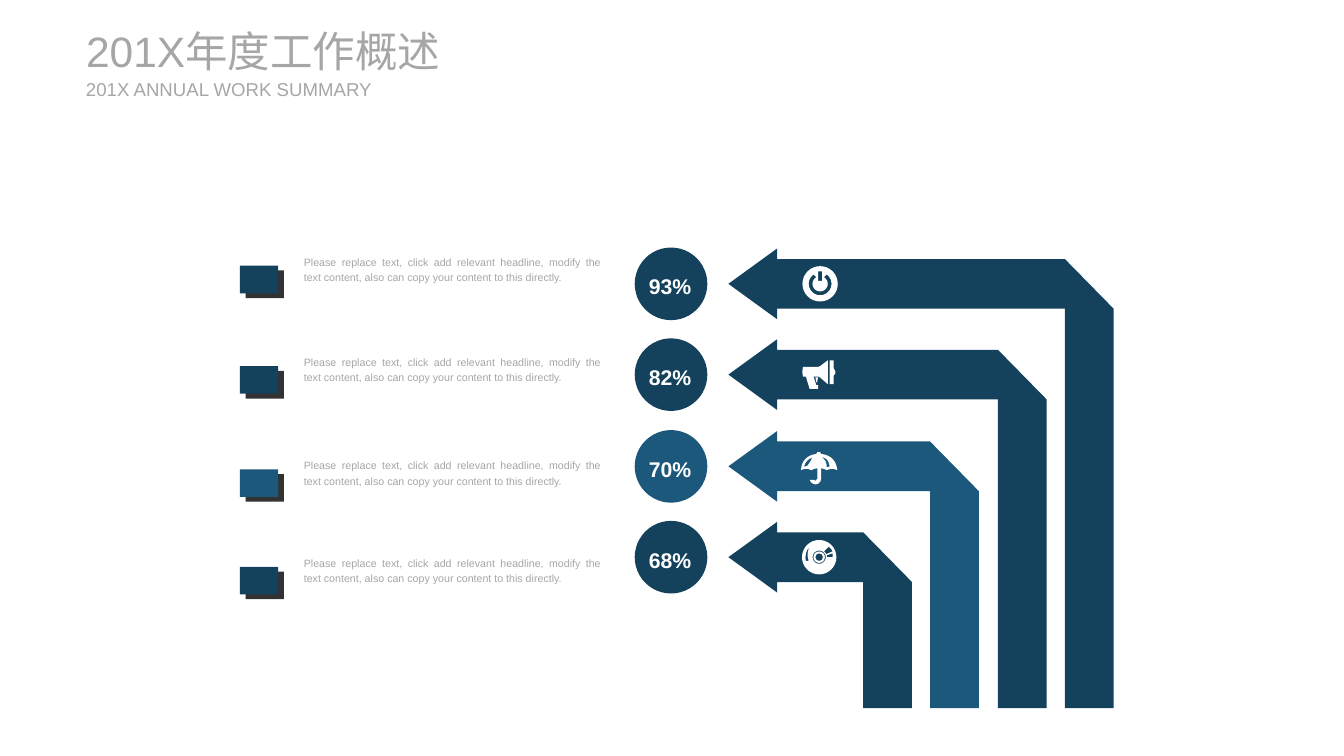
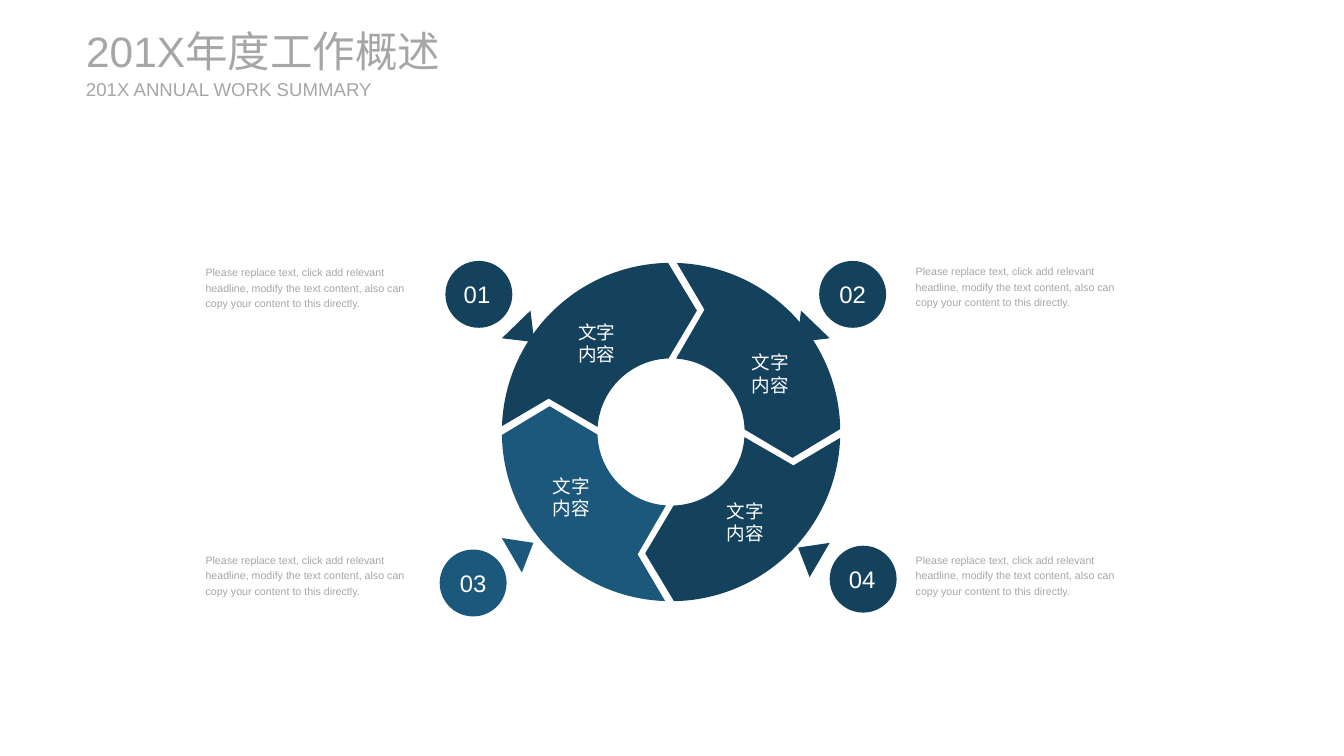
"""Build two annual summary slides: bent arrows and a ring of four steps."""
from dataclasses import dataclass
from math import ceil, cos, radians, sin, tan

from lxml.etree import SubElement
from pptx import Presentation
from pptx.dml.color import RGBColor
from pptx.enum.shapes import MSO_SHAPE
from pptx.enum.text import MSO_ANCHOR, MSO_AUTO_SIZE, PP_ALIGN
from pptx.oxml.ns import qn
from pptx.presentation import Presentation as Deck
from pptx.shapes.autoshape import Shape
from pptx.slide import Slide
from pptx.util import Emu, Pt

Node = tuple[float, ...]
Box = tuple[int, int, int, int]
Outline = list[Node]

SCALE = 9144
FONT = "Arial"
NAVY, BLUE, DARK, GREY, WHITE = "14425D", "1B587C", "323232", "A6A6A6", "FFFFFF"
NOTE = ("Please replace text, click add relevant headline, modify the text content, "
        "also can copy your content to this directly.")
CENTER = (702, 452)


@dataclass(frozen=True)
class Style:
    """Look of one text frame."""
    size: int
    color: str = WHITE
    bold: bool = False
    align: PP_ALIGN = PP_ALIGN.LEFT
    anchor: MSO_ANCHOR = MSO_ANCHOR.MIDDLE
    line: float | None = None
    inset: tuple[int, int] = (0, 0)
    wrap: bool = True
    grow: bool = False


@dataclass(frozen=True)
class Row:
    """One bent arrow with its share and note."""
    share: str
    color: str
    top: int
    icon: list[Outline]


@dataclass(frozen=True)
class Step:
    """One quarter of the ring with its number and note."""
    label: str
    color: str
    disc: tuple[int, int]
    number: tuple[int, int]
    tip: Outline
    note: Box
    word: Box


HEAD = Style(32, GREY, grow=True)
SUB = Style(14, GREY, grow=True)
SHARE = Style(16, bold=True, align=PP_ALIGN.JUSTIFY, anchor=MSO_ANCHOR.TOP,
              line=1.2, inset=(10, 5), wrap=False, grow=True)
BODY = Style(8, GREY, align=PP_ALIGN.JUSTIFY, anchor=MSO_ANCHOR.TOP,
             line=1.2, inset=(10, 5), grow=True)
SIDE = Style(8, GREY, anchor=MSO_ANCHOR.TOP, line=1.2, grow=True)
LABEL = Style(18, align=PP_ALIGN.CENTER, inset=(0, 10))
WORD = Style(14, align=PP_ALIGN.CENTER)


def px(value: float) -> Emu:
    """Turn px into EMU."""
    return Emu(round(value * SCALE))


def rgb(code: str) -> RGBColor:
    """Turn a hex string into a colour."""
    return RGBColor.from_string(code)


def paint(shape: Shape, color: str) -> None:
    """Give a shape a plain fill without line or shadow."""
    shape.shadow.inherit = False
    shape.fill.solid()
    shape.fill.fore_color.rgb = rgb(color)
    shape.line.fill.background()


def write(shape: Shape, text: str, style: Style) -> None:
    """Put one styled run into a shape."""
    frame = shape.text_frame
    frame.word_wrap = style.wrap
    frame.auto_size = MSO_AUTO_SIZE.SHAPE_TO_FIT_TEXT if style.grow else MSO_AUTO_SIZE.NONE
    frame.vertical_anchor = style.anchor
    frame.margin_left = frame.margin_right = px(style.inset[0])
    frame.margin_top = frame.margin_bottom = px(style.inset[1])
    para = frame.paragraphs[0]
    para.alignment = style.align
    if style.line:
        para.line_spacing = style.line
    run = para.add_run()
    run.text = text
    font = run.font
    font.name, font.size, font.bold = FONT, Pt(style.size), style.bold
    font.color.rgb = rgb(style.color)


def label(slide: Slide, box: Box, text: str, style: Style) -> None:
    """Add a text box."""
    write(slide.shapes.add_textbox(*map(px, box)), text, style)


def block(slide: Slide, kind: MSO_SHAPE, box: Box, color: str) -> None:
    """Add a plain preset shape."""
    paint(slide.shapes.add_shape(kind, *map(px, box)), color)


def pairs(node: Node) -> list[Node]:
    """Split a node into its points: one for a line, three for a curve."""
    return list(zip(node[::2], node[1::2]))


def shift(nodes: Outline, left: float, top: float) -> Outline:
    """Move nodes by an offset."""
    return [tuple(v for x, y in pairs(n) for v in (x + left, y + top)) for n in nodes]


def spin(nodes: Outline, times: int) -> Outline:
    """Turn nodes clockwise by quarter turns around the origin."""
    for _ in range(times):
        nodes = [tuple(v for x, y in pairs(n) for v in (-y, x)) for n in nodes]
    return nodes


def arc(radius: float, start: float, end: float) -> Outline:
    """Give an arc around the origin as a point and curves, angles in degrees."""
    count = ceil(abs(end - start) / 90)
    step = radians(end - start) / count
    pull = 4 / 3 * tan(step / 4)
    turn = radians(start)
    nodes: Outline = [(radius * cos(turn), radius * sin(turn))]
    for _ in range(count):
        c, s = cos(turn), sin(turn)
        turn += step
        d, t = cos(turn), sin(turn)
        curve = (c - pull * s, s + pull * c, d + pull * t, t - pull * d, d, t)
        nodes.append(tuple(radius * v for v in curve))
    return nodes


def bow(shape: Shape, sizes: list[int]) -> None:
    """Join each run of three line steps that stands for a curve."""
    steps = iter(list(shape.element.iter(qn("a:lnTo"))))
    for size in sizes:
        group = [next(steps) for _ in range(size)]
        if size == 3:
            home = group[0].getparent()
            curve = SubElement(home, qn("a:cubicBezTo"))
            home.replace(group[0], curve)
            for old in group:
                curve.append(old[0])
            for old in group[1:]:
                home.remove(old)


def draw(slide: Slide, parts: list[Outline], color: str) -> None:
    """Add one freeform made of closed outlines."""
    pen = None
    for first, *rest in parts:
        spot = tuple(map(px, first))
        if pen is None:
            pen = slide.shapes.build_freeform(*spot, scale=1.0)
        else:
            pen.move_to(*spot)
        pen.add_line_segments([(px(x), px(y)) for n in rest for x, y in pairs(n)], close=True)
    shape = pen.convert_to_shape()
    bow(shape, [len(n) // 2 for part in parts for n in part[1:]])
    paint(shape, color)


POWER = [
    arc(18.5, 0, 360),
    [(-2, -13), (-2, -3), (2, -3), (2, -13)],
    arc(12, -55, 235) + arc(8, 240, -60),
]
HORN = [
    [(-18, -8), (-2, -8), (0, -9), (8, -15), (8, 10), (0, 3), (-2, 2), (-7, 2),
     (-4, 11), (-2, 11), (-2, 15), (-11, 15), (-15, 2), (-18, 2), (-19, -1, -19, -5, -18, -8)],
    [(14, -7), (15, -6, 16, -5, 16, -3), (16, -1, 15, 1, 14, 1), (14, 10), (10, 10),
     (10, -15), (14, -15)],
    [(-2, 3), (-5, 3), (-4, 8), (-3, 8), (-3, 6)],
]
SHADE = [
    [(-7, 14), (-5, 15), (-4, 15, -3, 14, -3, 13), (-3, 2), (-6, 2, -8, 3, -9, 4),
     (-13, 2, -17, 2, -20, 4), (-20, -5, -14, -12, -4, -13), (-3, -15), (0, -15), (1, -13),
     (12, -12, 17, -5, 18, 4), (14, 2, 11, 2, 7, 4), (5, 3, 3, 2, 1, 2), (1, 13),
     (1, 15, 0, 17, -2, 18), (-5, 20, -10, 18, -11, 14)],
    [(7, 1), (8, 1, 9, 0, 10, 0), (9, -7, 6, -9, 1, -10), (5, -8, 7, -4, 7, 1)],
    [(-17, 0), (-15, 0, -14, 0, -13, -1), (-11, -4, -9, -7, -8, -9), (-13, -8, -15, -5, -17, 0)],
]
RECORD = [
    *(shift(arc(r, 0, 360), -1, 0) for r in (18, 7, 6, 4)),
    [(-11, -11), (-15, -7, -16, -1, -15, 4), (-12, 4), (-14, -2, -13, -7, -11, -11)],
    [(4, -6), (6, -4), (6, -3), (13, -6), (12, -8), (9, -11)],
    [(13, -4), (7, -2), (7, 0), (13, 0)],
]
ROWS = [
    Row("93%", NAVY, 278, POWER),
    Row("82%", NAVY, 383, HORN),
    Row("70%", BLUE, 491, SHADE),
    Row("68%", NAVY, 593, RECORD),
]
STEPS = [
    Step("01", NAVY, (466, 273), (465, 281), [(555, 325), (525, 354), (559, 358)],
         (215, 276, 225, 47), (597, 322, 55, 74)),
    Step("02", NAVY, (857, 273), (858, 281), [(838, 325), (868, 354), (834, 358)],
         (958, 275, 230, 47), (778, 354, 56, 74)),
    Step("04", NAVY, (868, 571), (868, 579), [(847, 604), (868, 568), (835, 573)],
         (958, 577, 230, 47), (752, 509, 56, 74)),
    Step("03", BLUE, (460, 575), (461, 583), [(525, 563), (546, 599), (558, 568)],
         (215, 577, 225, 47), (570, 483, 55, 74)),
]
QUARTER = [(27, -127), *arc(177, 269, 182), (-128, -35), *arc(77, 184, 268)]


def start(deck: Deck) -> Slide:
    """Add a slide with the shared title and subtitle."""
    slide = deck.slides.add_slide(deck.slide_layouts[5])
    title = slide.shapes.title
    title.left, title.top, title.width, title.height = map(px, (90, 26, 432, 54))
    write(title, "201X年度工作概述", HEAD)
    label(slide, (90, 81, 307, 24), "201X ANNUAL WORK SUMMARY", SUB)
    return slide


def bend(mid: int, right: int) -> Outline:
    """Outline a bent arrow by its middle line and right edge."""
    tip, neck, foot, width = 762, 813, 741, 51
    high, low = mid - 26, mid + 26
    return [(neck, mid - 37), (neck, high), (right - width, high), (right, low),
            (right, foot), (right - width, foot), (right - width, low),
            (neck, low), (neck, mid + 37), (tip, mid)]


def arrows(deck: Deck) -> None:
    """Build the slide with four bent arrows."""
    slide = start(deck)
    for i, row in enumerate(ROWS):
        mid = 297 + round(i * 95.33)
        block(slide, MSO_SHAPE.OVAL, (664, mid - 38, 76, 76), row.color)
        label(slide, (669, mid - 21, 65, 42), row.share, SHARE)
        draw(slide, [bend(mid, 1165 - round(70.33 * i))], row.color)
        draw(slide, [shift(part, 858, mid) for part in row.icon], WHITE)
        block(slide, MSO_SHAPE.RECTANGLE, (257, row.top + 5, 40, 29), DARK)
        block(slide, MSO_SHAPE.RECTANGLE, (251, row.top, 40, 29), row.color)
        label(slide, (308, row.top - 18, 331, 41), NOTE, BODY)


def cycle(deck: Deck) -> None:
    """Build the slide with the ring of four steps."""
    slide = start(deck)
    for i, step in enumerate(STEPS):
        block(slide, MSO_SHAPE.OVAL, (*step.disc, 70, 70), step.color)
        draw(slide, [step.tip], step.color)
        label(slide, (*step.number, 68, 53), step.label, LABEL)
        label(slide, step.note, NOTE, SIDE)
        draw(slide, [shift(spin(QUARTER, i), *CENTER)], step.color)
        label(slide, step.word, "文字内容", WORD)


def main() -> None:
    """Build and save the deck."""
    deck = Presentation()
    deck.slide_width, deck.slide_height = px(1406), px(791)
    arrows(deck)
    cycle(deck)
    deck.save("out.pptx")


if __name__ == "__main__":
    main()
